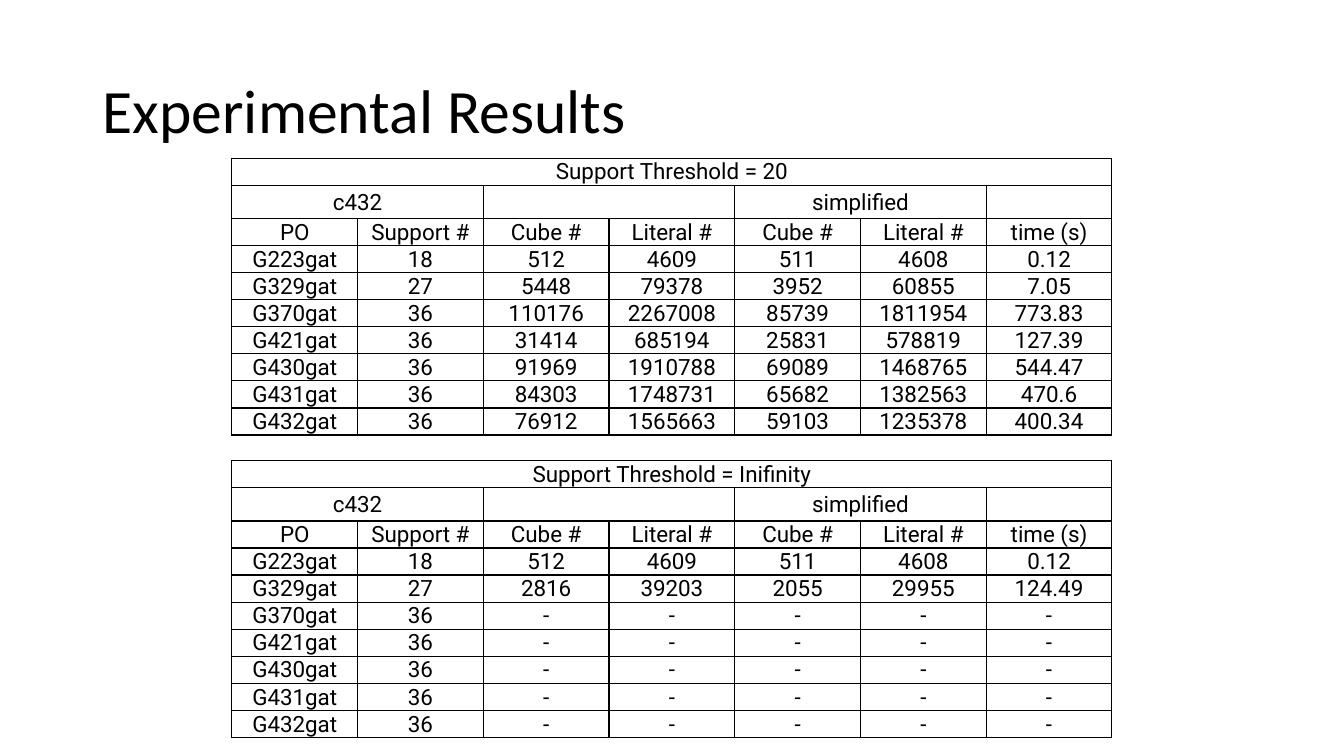
from lxml.etree import SubElement
from pptx import Presentation
from pptx.dml.color import RGBColor
from pptx.enum.text import MSO_ANCHOR as Anchor, PP_ALIGN as Align
from pptx.oxml.ns import qn
from pptx.util import Inches, Pt

BLACK, WHITE = "000000", "FFFFFF"
W, H = Inches(13.33), Inches(7.5)
COLS = 7
BAND_ROW, BAND_WEIGHT = 1, 1.23
BAND = [(0, 2, "c432"), (2, 2, ""), (4, 2, "simplified"), (6, 1, "")]
HEADS = ["PO", "Support #", "Cube #", "Literal #", "Cube #", "Literal #", "time (s)"]
OUTPUTS = [("G223gat", "18"), ("G329gat", "27"), ("G370gat", "36"), ("G421gat", "36"),
           ("G430gat", "36"), ("G431gat", "36"), ("G432gat", "36")]
LIMITED = [
    "512 4609 511 4608 0.12",
    "5448 79378 3952 60855 7.05",
    "110176 2267008 85739 1811954 773.83",
    "31414 685194 25831 578819 127.39",
    "91969 1910788 69089 1468765 544.47",
    "84303 1748731 65682 1382563 470.6",
    "76912 1565663 59103 1235378 400.34",
]
UNLIMITED = ["512 4609 511 4608 0.12", "2816 39203 2055 29955 124.49"] + ["- - - - -"] * 5


def rgb(value):
    """Turn a hex string into a colour."""
    return RGBColor.from_string(value)


def share(x, y, w, h):
    """Turn shares of the slide into a box of lengths."""
    return int(W * x), int(H * y), int(W * w), int(H * h)


def add_run(p, text, font, size):
    """Add one black run to a paragraph."""
    r = p.add_run()
    r.text = text
    r.font.name, r.font.size = font, Pt(size)
    r.font.color.rgb = rgb(BLACK)


def add_title(s, box, text):
    """Place the slide title in its box."""
    sp = s.shapes.title
    sp.left, sp.top, sp.width, sp.height = box
    tf = sp.text_frame
    tf.vertical_anchor = Anchor.MIDDLE
    p = tf.paragraphs[0]
    p.alignment, p.line_spacing = Align.LEFT, 0.9
    add_run(p, text, "Calibri", 44)


def style_cell(cell):
    """Give a cell thin black borders, tight margins and no fill."""
    cell.margin_left = cell.margin_right = cell.margin_top = Inches(0.01)
    cell.margin_bottom = 0
    cell.vertical_anchor = Anchor.MIDDLE
    tc_pr = cell._tc.get_or_add_tcPr()
    for side in ("a:lnL", "a:lnR", "a:lnT", "a:lnB"):
        ln = SubElement(tc_pr, qn(side), w=str(Pt(1)))
        SubElement(SubElement(ln, qn("a:solidFill")), qn("a:srgbClr"), val=BLACK)
    cell.fill.background()


def write_cell(table, row, col, text, span=1):
    """Write centred text into a cell, merged over span columns."""
    cell = table.cell(row, col)
    if span > 1:
        cell.merge(table.cell(row, col + span - 1))
    p = cell.text_frame.paragraphs[0]
    p.alignment = Align.CENTER
    if text:
        add_run(p, text, "Roboto", 16)


def add_results(s, box, caption, measures):
    """Build one results table inside its box."""
    body = [HEADS] + [[*output, *line.split()] for output, line in zip(OUTPUTS, measures)]
    count = len(body) + 2
    table = s.shapes.add_table(count, COLS, *box).table
    table.first_row = table.horz_banding = False
    for column in table.columns:
        column.width = box[2] // COLS
    unit = box[3] / (count - 1 + BAND_WEIGHT)
    for i, row in enumerate(table.rows):
        row.height = int(unit * (BAND_WEIGHT if i == BAND_ROW else 1))
    for cell in table.iter_cells():
        style_cell(cell)
    write_cell(table, 0, 0, caption, COLS)
    for col, span, text in BAND:
        write_cell(table, BAND_ROW, col, text, span)
    for i, values in enumerate(body, BAND_ROW + 1):
        for col, text in enumerate(values):
            write_cell(table, i, col, text)


def build_slide(prs):
    """Add the results slide with its title and two tables."""
    s = prs.slides.add_slide(prs.slide_layouts[5])
    s.background.fill.solid()
    s.background.fill.fore_color.rgb = rgb(WHITE)
    add_title(s, (Inches(0.92), Inches(0.4), Inches(11.5), Inches(1.45)), "Experimental Results")
    results = [("Support Threshold = 20", LIMITED), ("Support Threshold = Inifinity", UNLIMITED)]
    left, top, width, height = Inches(2.3), Inches(1.57), Inches(8.73), Inches(2.74)
    step = share(0, 0.4, 0, 0)[1]
    for i, (caption, measures) in enumerate(results):
        add_results(s, (left, top + i * step, width, height), caption, measures)


prs = Presentation()
prs.slide_width, prs.slide_height = W, H
build_slide(prs)
prs.save("out.pptx")
